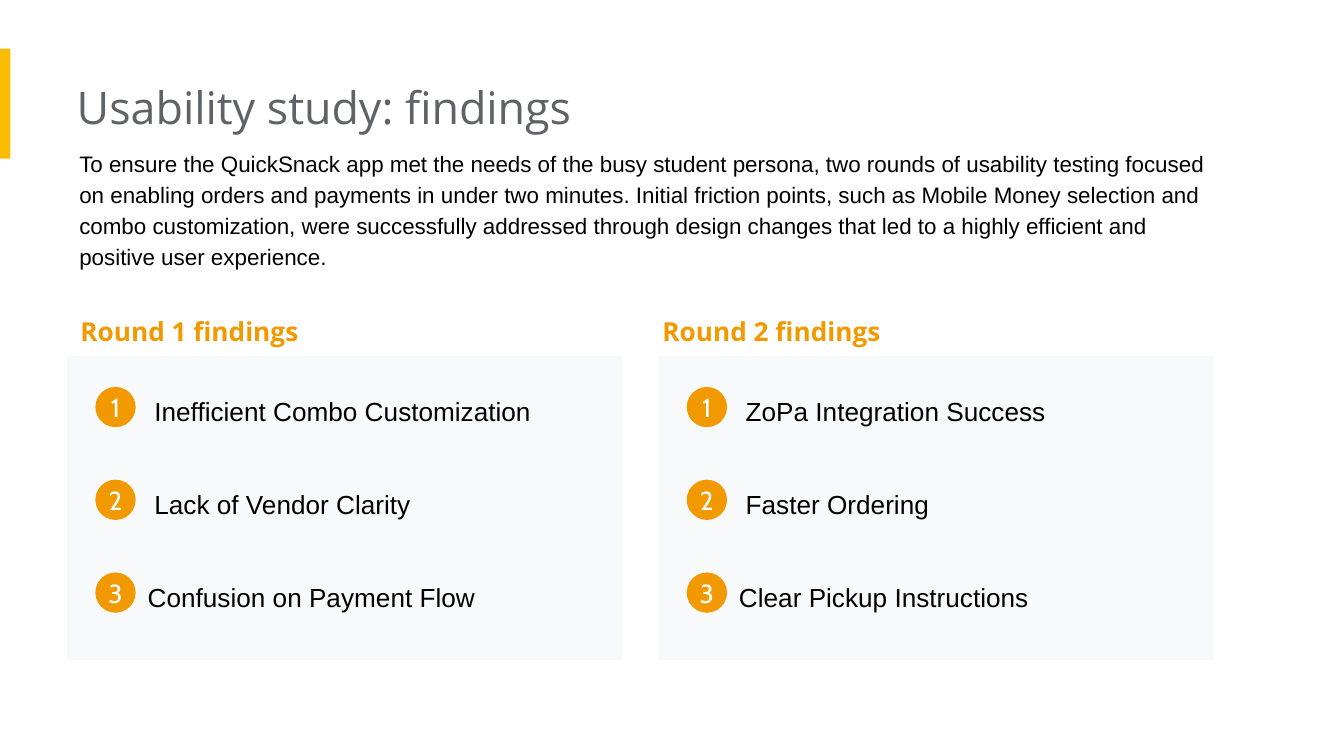
from pptx import Presentation
from pptx.dml.color import RGBColor
from pptx.enum import shapes, text
from pptx.util import Pt

YELLOW = RGBColor(0xFB, 0xBC, 0x04)
ORANGE = RGBColor(0xF2, 0x99, 0x00)
GRAY = RGBColor(0x5F, 0x63, 0x68)
PALE = RGBColor(0xF8, 0xF9, 0xFA)
BLACK = RGBColor(0, 0, 0)
WHITE = RGBColor(0xFF, 0xFF, 0xFF)

TITLE = "Usability study: findings"
SUMMARY = (
    "To ensure the QuickSnack app met the needs of the busy student persona, "
    "two rounds of usability testing focused on enabling orders and payments "
    "in under two minutes. Initial friction points, such as Mobile Money "
    "selection and combo customization, were successfully addressed through "
    "design changes that led to a highly efficient and positive user experience."
)
ROUNDS = [
    ("Round 1 findings", 36, 0,
     ["Inefficient Combo Customization", "Lack of Vendor Clarity",
      "Confusion on Payment Flow"]),
    ("Round 2 findings", 352.8, -5,
     ["ZoPa Integration Success", "Faster Ordering",
      "Clear Pickup Instructions"]),
]
LABEL_INDENTS = [39.6, 39.6, 36]
ROW_PITCH = 49.7
BADGE_SIZE = 21.6


def apply(target, values):
    for name, value in values.items():
        setattr(target, name, value)


def write(frame, wording, font, color, frame_format, paragraph_format):
    apply(frame, frame_format)
    paragraph = frame.paragraphs[0]
    apply(paragraph, paragraph_format)
    run = paragraph.add_run()
    run.text = wording
    apply(run.font, font)
    run.font.color.rgb = color


def add_text(slide, box, wording, font, color, inset=7.2, spacing=1.15):
    label = slide.shapes.add_textbox(*map(Pt, box))
    frame_format = {
        "word_wrap": True,
        "auto_size": text.MSO_AUTO_SIZE.SHAPE_TO_FIT_TEXT,
        "margin_left": Pt(inset), "margin_right": Pt(7.2),
        "margin_top": Pt(7.2), "margin_bottom": Pt(7.2),
    }
    write(label.text_frame, wording, font, color, frame_format,
          {"line_spacing": spacing})


def add_filled(slide, kind, box, color):
    filled = slide.shapes.add_shape(kind, *map(Pt, box))
    filled.shadow.inherit = False
    filled.fill.solid()
    filled.fill.fore_color.rgb = color
    filled.line.fill.background()
    return filled


def add_badge(slide, left, top, number):
    badge = add_filled(slide, shapes.MSO_SHAPE.OVAL,
                       (left, top, BADGE_SIZE, BADGE_SIZE), ORANGE)
    frame_format = dict.fromkeys(
        ("margin_left", "margin_right", "margin_top", "margin_bottom"), 0)
    frame_format["vertical_anchor"] = text.MSO_ANCHOR.MIDDLE
    write(badge.text_frame, str(number), {"name": "Cabin", "size": Pt(14)},
          WHITE, frame_format, {"alignment": text.PP_ALIGN.CENTER})


def add_header(slide, left, top, width):
    add_filled(slide, shapes.MSO_SHAPE.RECTANGLE, (0, 26, 5.6, 59), YELLOW)
    add_text(slide, (left, top, 484.6, 43.9), TITLE,
             {"name": "Open Sans", "size": Pt(24)}, GRAY, inset=0, spacing=1)
    add_text(slide, (left + 1.4, top + 36, width, 81.4), SUMMARY,
             {"name": "Arial", "size": Pt(12)}, BLACK, inset=0)


def add_round(slide, left, top, width, height, heading, shift, findings):
    add_filled(slide, shapes.MSO_SHAPE.RECTANGLE,
               (left, top, width, height), PALE)
    add_text(slide, (left + shift, top - 31.7, 262.8, 31.7), heading,
             {"name": "Open Sans", "size": Pt(14), "bold": True}, ORANGE)
    for row, (finding, indent) in enumerate(zip(findings, LABEL_INDENTS)):
        row_top = top + 11.5 + row * ROW_PITCH
        add_text(slide, (left + indent, row_top, 262.8, 33.8), finding,
                 {"name": "Arial", "size": Pt(14)}, BLACK)
        add_badge(slide, left + 15.1, row_top + 5, row + 1)


def main():
    deck = Presentation()
    apply(deck, {"slide_width": Pt(720), "slide_height": Pt(405)})
    slide = deck.slides.add_slide(deck.slide_layouts[6])
    add_header(slide, 41.1, 35.3, 620)
    for heading, left, shift, findings in ROUNDS:
        add_round(slide, left, 190.8, 297.4, 162.7, heading, shift, findings)
    deck.save("out.pptx")


if __name__ == "__main__":
    main()
